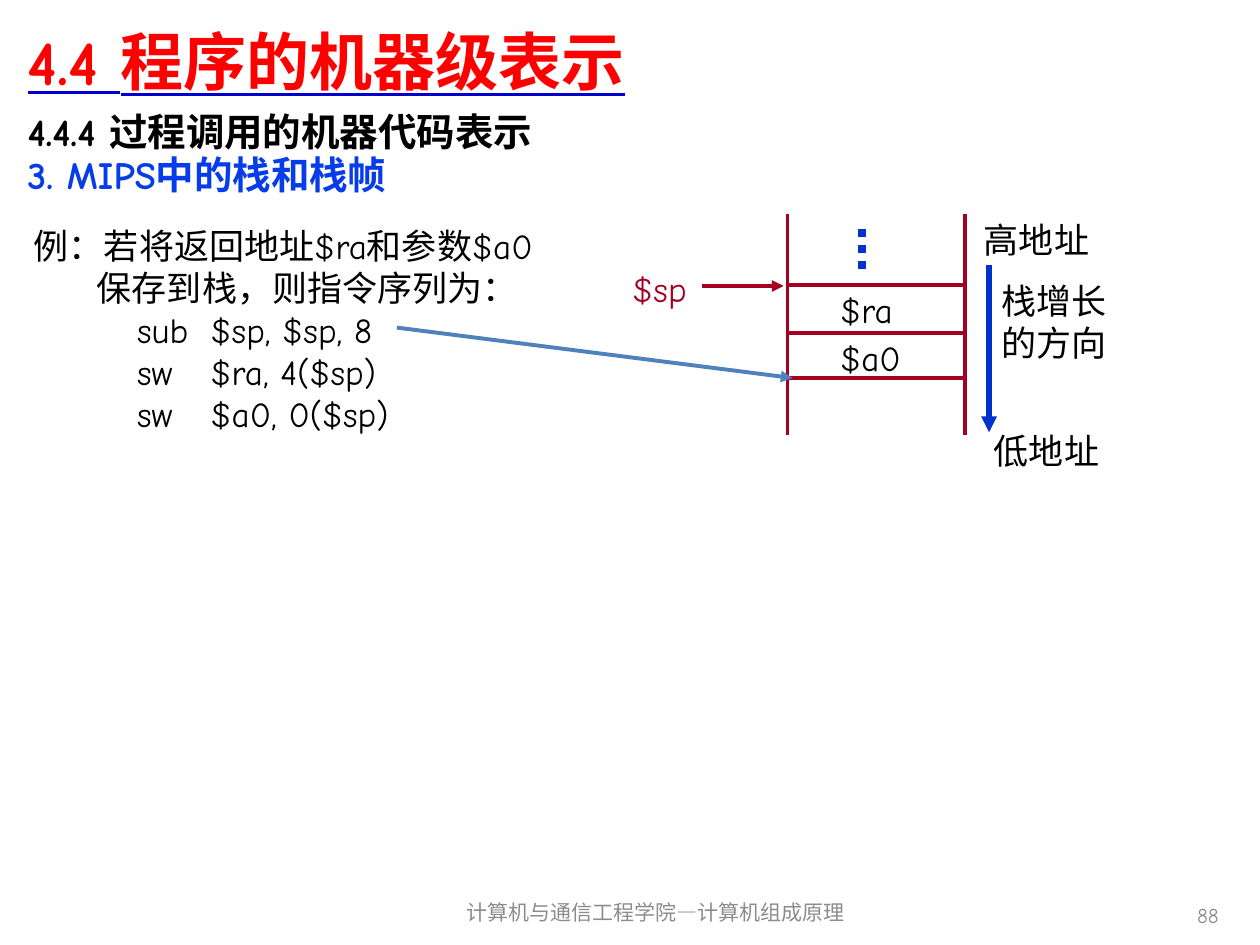
"""Build the slide on the MIPS stack and stack frames."""
from lxml import etree
from pptx import Presentation
from pptx import util as u
from pptx.dml.color import RGBColor
from pptx.enum import dml, shapes, text
from pptx.oxml import ns

FONT = "Comic Neue"
BLACK = RGBColor(0x00, 0x00, 0x00)
RED = RGBColor(0xFF, 0x00, 0x00)
GRAY = RGBColor(0x8C, 0x8C, 0x8C)
MAROON = RGBColor(0xA5, 0x00, 0x21)
NAVY = RGBColor(0x00, 0x00, 0xCC)
BLUE = RGBColor(0x00, 0x33, 0xCC)
BRIGHT = RGBColor(0x06, 0x3D, 0xE8)
STEEL = RGBColor(0x4F, 0x81, 0xBD)
LEFT, CENTER, RIGHT = text.PP_ALIGN.LEFT, text.PP_ALIGN.CENTER, text.PP_ALIGN.RIGHT

TITLE = "4.4 程序的机器级表示"
HEADINGS = [
    ("4.4.4 过程调用的机器代码表示", (8.64, 58.3, 697.7, 31), BLACK),
    ("3. MIPS中的栈和栈帧", (8.64, 82.8, 391, 31), BRIGHT),
]
FOOTERS = [
    ("计算机与通信工程学院—计算机组成原理", (241.2, 506.9, 267.1, 28.8), CENTER),
    ("88", (535.7, 508.3, 167.8, 28.8), RIGHT),
]
EXAMPLE_BOX = (14.4, 126, 316, 125.3)
EXAMPLE = [
    ("例：若将返回地址$ra和参数$a0", 0, 0),
    ("保存到栈，则指令序列为：", 36, 0),
    ("sub\t$sp, $sp, 8", 101, -42),
    ("sw\t$ra, 4($sp)", 101, -42),
    ("sw\t$a0, 0($sp)", 101, -42),
]
LABELS = [
    ("$a0", (475.2, 190.1, 60.5, 28), BLACK),
    ("$ra", (475.2, 162.7, 60.5, 28), BLACK),
    ("$sp", (356.4, 150.5, 60.5, 28), MAROON),
    ("高地址", (557.3, 122.4, 112.3, 28), BLACK),
    ("低地址", (563, 243.4, 97.2, 28), BLACK),
    ("栈增长的方向", (567.4, 157.7, 84.2, 52.6), BLACK),
]
STACK_TOP, STACK_BOTTOM = 122.4, 248.4
WALLS = [450, 551.5]
SLOT_LEFT, SLOT_RIGHT = 449.3, 550.1
SLOT_EDGES = [162.7, 190.1, 216]
ARROWS = [
    ((401, 163.4), (447.8, 163.4), MAROON, 2.25),
    ((565.2, 151.2), (565.2, 247), BLUE, 3),
    ((226.8, 187.2), (452.9, 216), STEEL, 2.25),
]
DOTS = ((492.5, 131), (492.5, 155.5))


def place(sp, box):
    sp.left, sp.top, sp.width, sp.height = [u.Pt(v) for v in box]


def style(p, size, color, bold=False, align=LEFT):
    p.alignment = align
    for r in p.runs:
        r.font.size, r.font.bold, r.font.name = u.Pt(size), bold, FONT
        r.font.color.rgb = color


def add_text(s, lines, box, size, color, bold=False, align=LEFT,
             inset=(7.2, 3.6), anchor=text.MSO_ANCHOR.TOP):
    sp = s.shapes.add_textbox(0, 0, 0, 0)
    place(sp, box)
    tf = sp.text_frame
    tf.word_wrap = True
    tf.vertical_anchor = anchor
    tf.margin_left = tf.margin_right = u.Pt(inset[0])
    tf.margin_top = tf.margin_bottom = u.Pt(inset[1])
    tf.text = "\n".join(lines)
    for p in tf.paragraphs:
        style(p, size, color, bold, align)
    return tf


def add_line(s, start, end, color, width, arrow=False):
    c = s.shapes.add_connector(shapes.MSO_CONNECTOR.STRAIGHT,
                               *[u.Pt(v) for v in (*start, *end)])
    c.line.color.rgb = color
    c.line.width = u.Pt(width)
    if arrow:
        etree.SubElement(c.line._get_or_add_ln(), ns.qn("a:tailEnd"), type="triangle")
    etree.SubElement(c._element.spPr, ns.qn("a:effectLst"))
    return c


def add_title(s):
    sp = s.shapes.title
    place(sp, (8.64, 3.6, 697.7, 61.2))
    tf = sp.text_frame
    tf.text = TITLE
    tf.auto_size = text.MSO_AUTO_SIZE.NONE
    tf.vertical_anchor = text.MSO_ANCHOR.MIDDLE
    p = tf.paragraphs[0]
    style(p, 36, RED, bold=True)
    font = p.runs[0].font
    font.underline = True
    underline = etree.Element(ns.qn("a:uFill"))
    fill = etree.SubElement(underline, ns.qn("a:solidFill"))
    etree.SubElement(fill, ns.qn("a:srgbClr"), val=str(NAVY))
    font._element.find(ns.qn("a:solidFill")).addnext(underline)


def add_example(s):
    tf = add_text(s, [line for line, _, _ in EXAMPLE], EXAMPLE_BOX, 20, BLACK,
                  inset=(5, 2.2))
    for p, (_, margin, indent) in zip(tf.paragraphs, EXAMPLE):
        pPr = p._p.get_or_add_pPr()
        pPr.set("marL", str(u.Pt(margin)))
        pPr.set("indent", str(u.Pt(indent)))


def add_stack(s):
    for x in WALLS:
        add_line(s, (x, STACK_TOP), (x, STACK_BOTTOM), MAROON, 2.25)
    for y in SLOT_EDGES:
        add_line(s, (SLOT_LEFT, y), (SLOT_RIGHT, y), MAROON, 2.25)
    for label, box, color in LABELS:
        add_text(s, [label], box, 20, color, inset=(5, 2.2))
    dots = add_line(s, *DOTS, BLUE, 4.5)
    dots.line.dash_style = dml.MSO_LINE.ROUND_DOT
    dots.line._get_or_add_ln().find(ns.qn("a:prstDash")).set("val", "sysDot")
    for start, end, color, width in ARROWS:
        add_line(s, start, end, color, width, arrow=True)


def main():
    prs = Presentation()
    prs.slide_width, prs.slide_height = u.Pt(720), u.Pt(540)
    s = prs.slides.add_slide(prs.slide_layouts[5])
    add_title(s)
    for line, box, color in HEADINGS:
        add_text(s, [line], box, 22, color, bold=True)
    for line, box, align in FOOTERS:
        add_text(s, [line], box, 12, GRAY, align=align, anchor=text.MSO_ANCHOR.MIDDLE)
    add_example(s)
    add_stack(s)
    prs.save("out.pptx")


if __name__ == "__main__":
    main()
